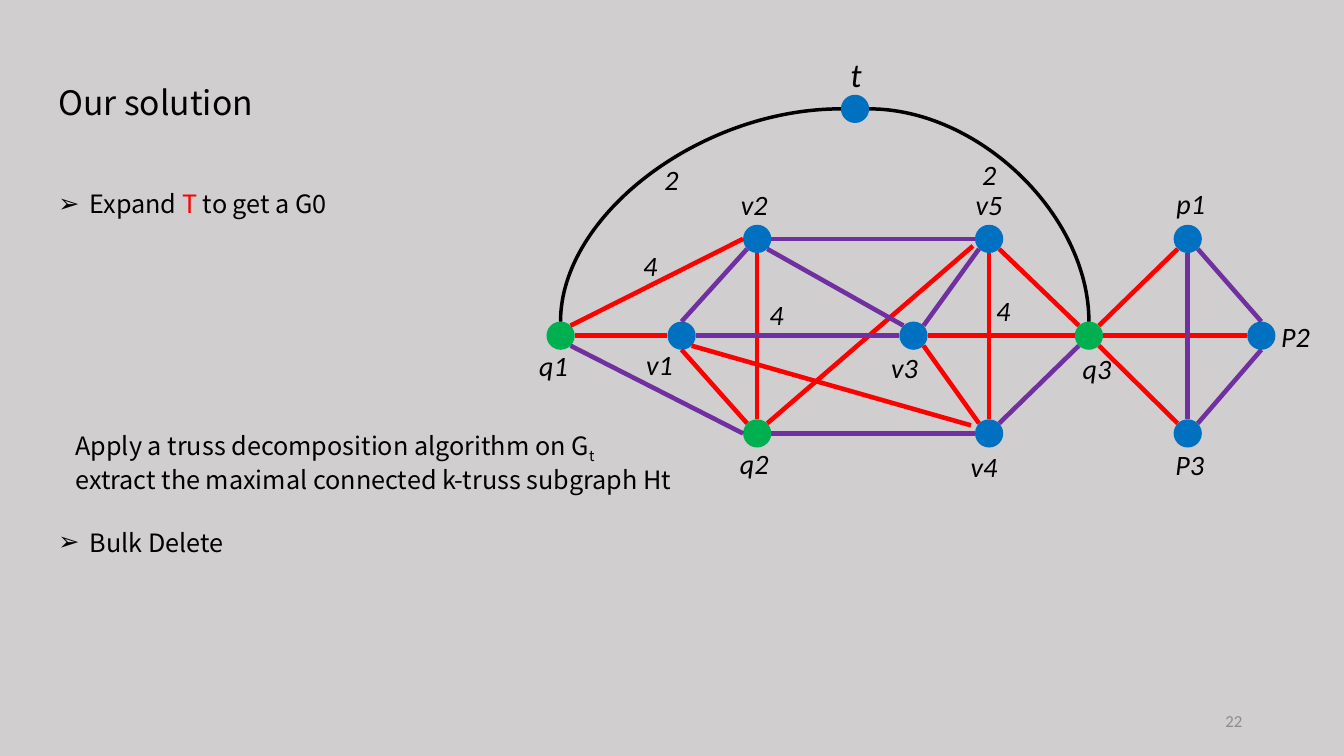
from pptx import Presentation
from pptx.dml.color import RGBColor
from pptx.enum.shapes import MSO_CONNECTOR as Connector, MSO_SHAPE as Shape
from pptx.enum.text import MSO_ANCHOR as Anchor, PP_ALIGN as Align
from pptx.oxml.ns import qn
from pptx.oxml.xmlchemy import OxmlElement
from pptx.util import Pt

EMU_PER_PX = 9144
RADIUS = 14
DIAGONAL = 10
BLACK, RED, PURPLE = "000000", "FF0000", "7030A0"
GREEN, BLUE, GRAY, BACKGROUND = "00B050", "0070C0", "8C8C8C", "D0CECE"
SANS, LABEL_FONT = "Noto Sans CJK SC", "Calibri"

SIDES = {
    "N": (0, -RADIUS), "S": (0, RADIUS), "W": (-RADIUS, 0), "E": (RADIUS, 0),
    "NW": (-DIAGONAL, -DIAGONAL), "NE": (DIAGONAL, -DIAGONAL),
    "SW": (-DIAGONAL, DIAGONAL), "SE": (DIAGONAL, DIAGONAL),
    "WNW": (-18, -8), "WSW": (-16, 7),
}

# name: centre x, centre y, fill, label left, label top
NODES = {
    "q1": (556, 333, GREEN, 520, 341),
    "q2": (751, 430, GREEN, 719, 438),
    "v4": (981, 430, BLUE, 947, 441),
    "v1": (676, 333, BLUE, 625, 340),
    "v3": (906, 333, BLUE, 868, 343),
    "q3": (1080, 333, GREEN, 1059, 344),
    "v5": (981, 237, BLUE, 952, 181),
    "v2": (751, 237, BLUE, 719, 181),
    "t": (848, 108, BLUE, 820, 49),
    "p1": (1178, 237, BLUE, 1152, 180),
    "P2": (1251, 333, BLUE, 1256, 312),
    "P3": (1178, 430, BLUE, 1151, 439),
}
EDGES = {
    RED: ["q1 NE v2 W", "q1 E v1 W", "v1 S q2 NW", "v2 S q2 N", "v5 WSW q2 NE",
          "v1 SE v4 WNW", "v3 SE v4 NW", "v5 S v4 N", "v3 E q3 W", "v5 SE q3 NW",
          "p1 SW q3 NE", "P2 W q3 E", "P3 NW q3 SE"],
    PURPLE: ["q1 SE q2 W", "q2 E v4 W", "v4 NE q3 SW", "v2 SW v1 N", "v3 W v1 E",
             "v3 NW v2 SE", "v5 W v2 E", "v3 NE v5 SW", "P2 S P3 NE",
             "p1 S P3 N", "p1 SE P2 N"],
}
ARCS = ["t W q1 N", "t E q3 N"]
WEIGHTS = [("2", 637, 156), ("2", 952, 151), ("4", 616, 242),
           ("4", 741, 290), ("4", 966, 286)]


def px(value):
    return value * EMU_PER_PX


def color(value):
    return RGBColor.from_string(value)


def edge_points(edge):
    start, start_side, end, end_side = edge.split()
    return [NODES[name][axis] + SIDES[side][axis]
            for name, side in ((start, start_side), (end, end_side))
            for axis in (0, 1)]


class GraphSlide:
    """Holds the slide and draws its nodes, edges and text in one style."""

    def __init__(self, presentation):
        self.slide = presentation.slides.add_slide(presentation.slide_layouts[6])
        self.shapes = self.slide.shapes
        fill = self.slide.background.fill
        fill.solid()
        fill.fore_color.rgb = color(BACKGROUND)

    def text(self, box, paragraphs, size=18, font=SANS, tint=BLACK, italic=False,
             wrap=False, anchor=Anchor.TOP, bullet=None, **layout):
        shape = self.shapes.add_textbox(*map(px, box))
        frame = shape.text_frame
        frame.word_wrap = wrap
        frame.vertical_anchor = anchor
        for index, runs in enumerate(paragraphs):
            paragraph = frame.add_paragraph() if index else frame.paragraphs[0]
            for name, value in layout.items():
                setattr(paragraph, name, value)
            if bullet:
                self.bullet(paragraph, bullet)
            for content, changes in runs:
                run = paragraph.add_run()
                run.text = content
                values = {"size": Pt(size), "name": font, "italic": italic}
                for name, value in values.items():
                    setattr(run.font, name, value)
                run.font.color.rgb = color(changes.get("tint", tint))
                if "baseline" in changes:
                    run.font._element.set("baseline", changes["baseline"])

    def bullet(self, paragraph, character):
        properties = paragraph._p.get_or_add_pPr()
        properties.set("marL", str(px(31)))
        properties.set("indent", str(-px(31)))
        for tag, name, value in (("a:buFont", "typeface", "Arial"),
                                 ("a:buChar", "char", character)):
            element = OxmlElement(tag)
            element.set(name, value)
            properties.append(element)

    def label(self, content, left, top, size=20):
        self.text((left, top, 58, 44), [[(content, {})]], size, LABEL_FONT,
                  italic=True, wrap=True, alignment=Align.CENTER)

    def node(self, name):
        x, y, fill, left, top = NODES[name]
        box = (x - RADIUS, y - RADIUS, 2 * RADIUS, 2 * RADIUS)
        shape = self.shapes.add_shape(Shape.OVAL, *map(px, box))
        shape.shadow.inherit = False
        shape.fill.solid()
        shape.fill.fore_color.rgb = color(fill)
        shape.line.fill.background()
        self.label(name, left, top, 24 if name == "t" else 20)

    def edge(self, edge, tint, width=3.25, kind=Connector.STRAIGHT):
        line = self.shapes.add_connector(kind, *map(px, edge_points(edge)))
        line.line.color.rgb = color(tint)
        line.line.width = Pt(width)
        properties = line._element.spPr
        properties.append(OxmlElement("a:effectLst"))
        if kind == Connector.CURVE:
            properties.find(qn("a:prstGeom")).set("prst", "curvedConnector2")


def main():
    presentation = Presentation()
    presentation.slide_width = px(1333)
    presentation.slide_height = px(750)
    graph = GraphSlide(presentation)

    graph.text((48, 56, 221, 64), [[("Our solution", {})]], 24, line_spacing=1.5)
    for name in NODES:
        graph.node(name)
    for arc in ARCS:
        graph.edge(arc, BLACK, 2.5, Connector.CURVE)
    for tint, edges in EDGES.items():
        for edge in edges:
            graph.edge(edge, tint)
    for weight in WEIGHTS:
        graph.label(*weight)

    steps = [
        ((48, 167, 305, 56),
         [("Expand ", {}), ("T", {"tint": RED}), (" to get a G0", {})]),
        ((48, 503, 189, 56), [("Bulk Delete", {})]),
    ]
    for box, runs in steps:
        graph.text(box, [runs], bullet="➢", line_spacing=1.5)
    graph.text((65, 422, 640, 71), [
        [("Apply a truss decomposition algorithm on G", {}),
         ("t", {"baseline": "-25000"})],
        [("extract the maximal connected k-truss subgraph Ht", {})],
    ])
    graph.text((942, 695, 300, 40), [[("22", {})]], 12, LABEL_FONT, GRAY,
               wrap=True, anchor=Anchor.MIDDLE, alignment=Align.RIGHT)
    presentation.save("out.pptx")


if __name__ == "__main__":
    main()
